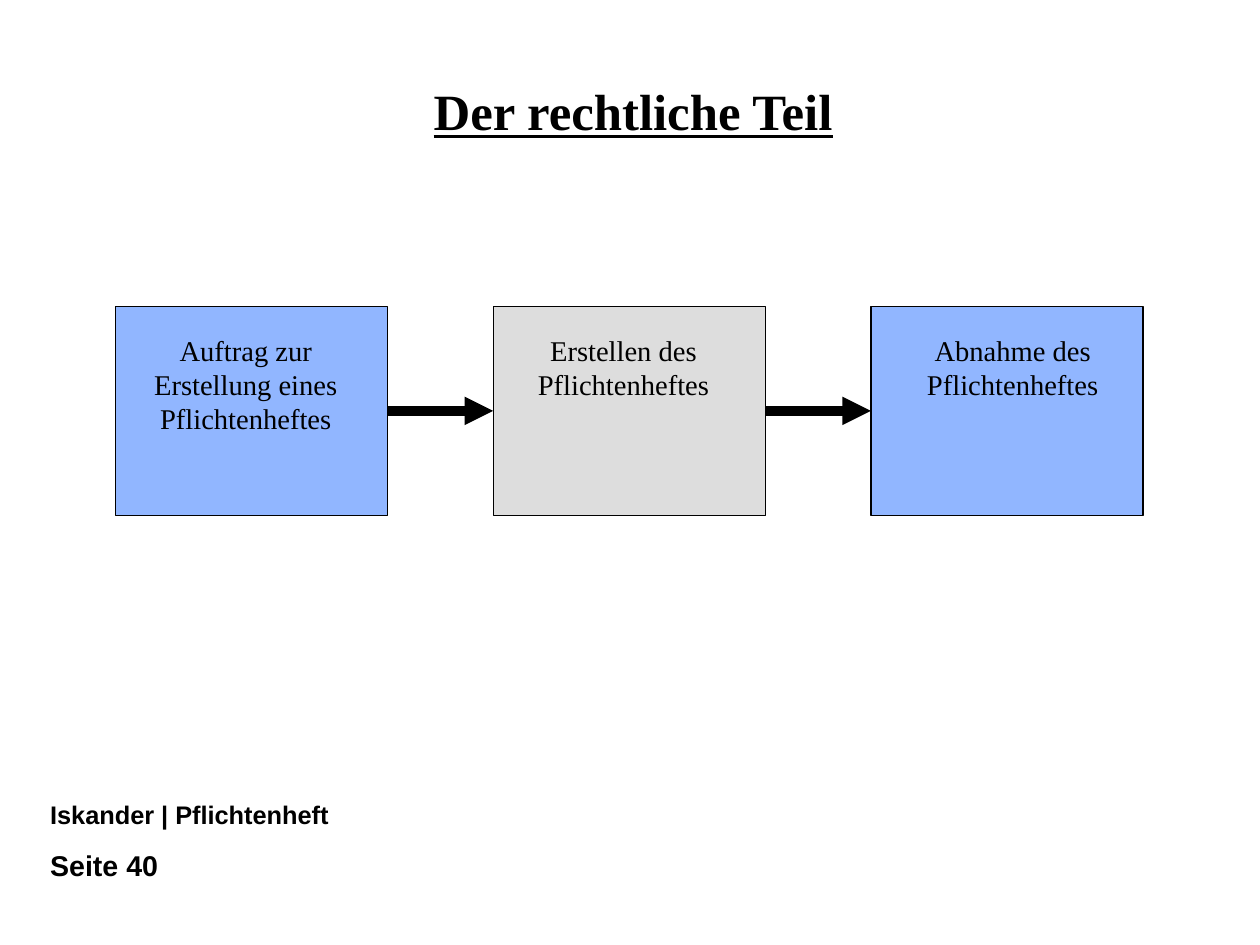
from dataclasses import dataclass
from itertools import pairwise

from lxml.etree import SubElement
from pptx import Presentation
from pptx.dml.color import RGBColor
from pptx.enum.shapes import MSO_CONNECTOR, MSO_SHAPE
from pptx.enum.text import MSO_ANCHOR, MSO_AUTO_SIZE, PP_ALIGN
from pptx.oxml.ns import qn
from pptx.util import Inches, Pt


@dataclass(frozen=True)
class Theme:
    ink: RGBColor = RGBColor(0x00, 0x00, 0x00)
    paper: RGBColor = RGBColor(0xFF, 0xFF, 0xFF)
    blue: RGBColor = RGBColor(0x91, 0xB6, 0xFF)
    grey: RGBColor = RGBColor(0xDD, 0xDD, 0xDD)
    serif: str = "Times New Roman"
    sans: str = "Arial"
    title_size: int = 32
    step_size: int = 18
    footer_size: int = 16
    page_size: int = 18
    outline: float = 0.75
    arrow: float = 6


THEME = Theme()
CM_PER_INCH = 2.54

STEPS = [
    (["Auftrag zur", "Erstellung eines", "Pflichtenheftes"], THEME.blue, 0.18),
    (["Erstellen des", "Pflichtenheftes"], THEME.grey, 0.18),
    (["Abnahme des", "Pflichtenheftes"], THEME.blue, 0.28),
]


def add_text(slide, box, lines, font_name, size, bold=False, underline=False,
             align=PP_ALIGN.LEFT, spacing=None, fit=True):
    frame = slide.shapes.add_textbox(*map(Inches, box)).text_frame
    frame.word_wrap = True
    frame.vertical_anchor = MSO_ANCHOR.TOP
    frame.auto_size = MSO_AUTO_SIZE.SHAPE_TO_FIT_TEXT if fit else MSO_AUTO_SIZE.NONE
    paragraph = frame.paragraphs[0]
    paragraph.alignment = align
    paragraph.line_spacing = spacing
    for index, line in enumerate(lines):
        if index:
            paragraph.add_line_break()
        run = paragraph.add_run()
        run.text = line
        run.font.name = font_name
        run.font.size = Pt(size)
        run.font.bold = bold
        run.font.underline = underline
        run.font.color.rgb = THEME.ink


def add_title(slide, box):
    add_text(slide, box, ["Der rechtliche Teil"], THEME.serif, THEME.title_size,
             bold=True, underline=True, align=PP_ALIGN.CENTER, spacing=0.93, fit=False)


def add_step(slide, box, lines, fill, label_indent):
    left, top, width, height = box
    step = slide.shapes.add_shape(MSO_SHAPE.RECTANGLE, *map(Inches, box))
    step.shadow.inherit = False
    step.fill.solid()
    step.fill.fore_color.rgb = fill
    step.line.color.rgb = THEME.ink
    step.line.width = Pt(THEME.outline)
    label_box = (left + label_indent, top + 0.18, 1.92, 0.1 + 0.3 * len(lines))
    add_text(slide, label_box, lines, THEME.serif, THEME.step_size,
             align=PP_ALIGN.CENTER)
    return step


def add_arrow(slide, source, target):
    arrow = slide.shapes.add_connector(MSO_CONNECTOR.STRAIGHT, 0, 0, 0, 0)
    arrow.begin_connect(source, 3)
    arrow.end_connect(target, 1)
    arrow.line.color.rgb = THEME.ink
    arrow.line.width = Pt(THEME.arrow)
    SubElement(arrow.line._get_or_add_ln(), qn("a:tailEnd"), type="triangle")
    SubElement(arrow._element.spPr, qn("a:effectLst"))


def add_process(slide, box):
    left, top, width, height = box
    step_width = 2.38
    pitch = (width - step_width) / (len(STEPS) - 1)
    steps = [
        add_step(slide, (left + index * pitch, top, step_width, height), *step)
        for index, step in enumerate(STEPS)
    ]
    for source, target in pairwise(steps):
        add_arrow(slide, source, target)


def add_footer(slide, box):
    left, top, width, height = box
    add_text(slide, (left, top, width, 0.37), ["Iskander | Pflichtenheft"],
             THEME.sans, THEME.footer_size, bold=True)
    add_text(slide, (left, top + height - 0.44, 3.31, 0.44), ["Seite 40"],
             THEME.sans, THEME.page_size, bold=True)


def main():
    presentation = Presentation()
    presentation.slide_width = Inches(28 / CM_PER_INCH)
    presentation.slide_height = Inches(21 / CM_PER_INCH)
    presentation.element.sldSz.attrib.pop("type", None)
    slide = presentation.slides.add_slide(presentation.slide_layouts[6])
    slide.background.fill.solid()
    slide.background.fill.fore_color.rgb = THEME.paper
    add_footer(slide, (0.34, 6.94, 7.23, 0.87))
    add_title(slide, (0.58, 0.7, 9.92, 1.38))
    add_process(slide, (1.01, 2.68, 8.99, 1.83))
    presentation.save("out.pptx")


if __name__ == "__main__":
    main()
